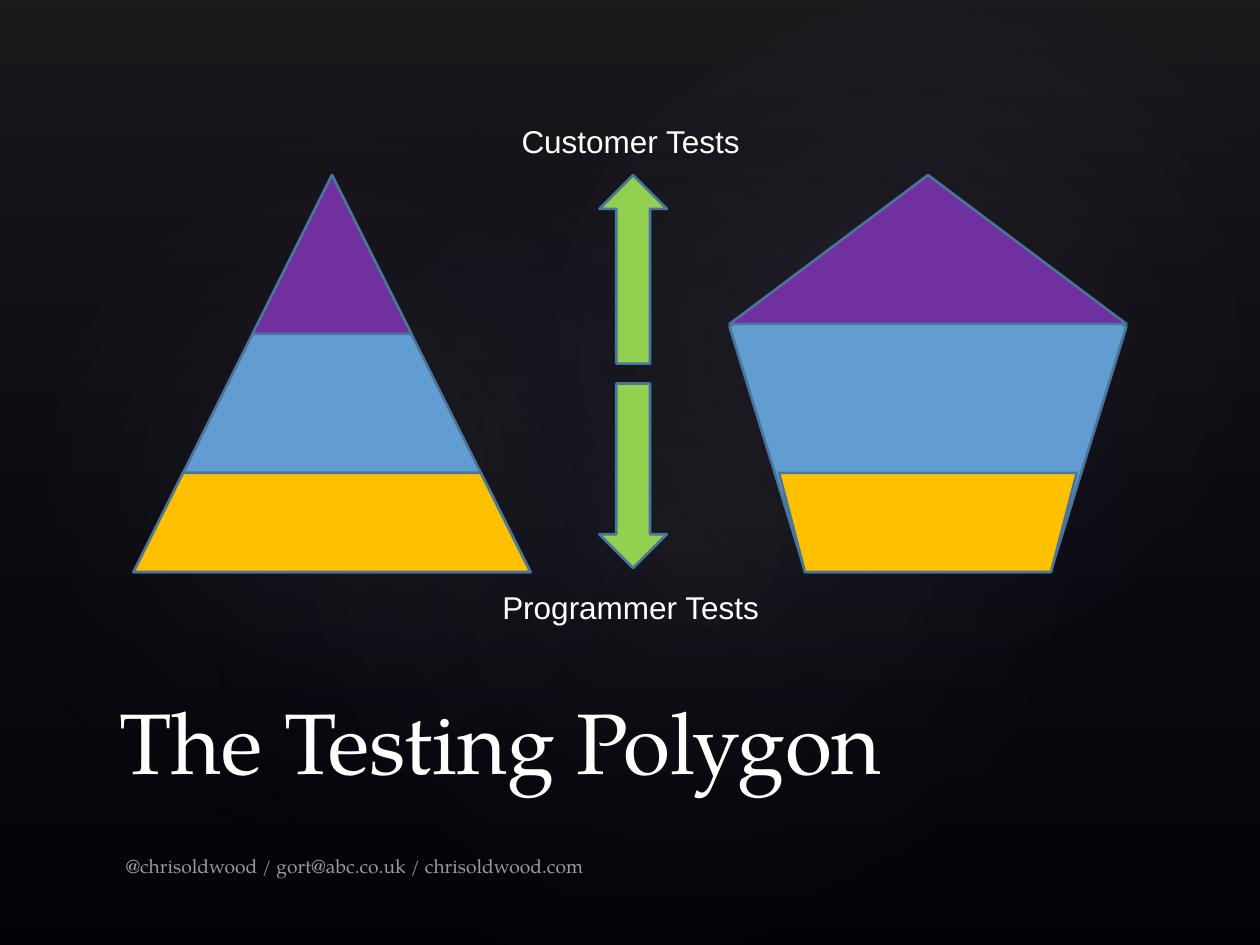
"""Build the slide that compares the testing pyramid with the testing pentagon."""
from pptx import Presentation, oxml
from pptx import util as u
from pptx.dml.color import RGBColor
from pptx.enum import shapes, text
from pptx.oxml import ns

WIDTH, HEIGHT = 10, 7.5
KIND = shapes.MSO_SHAPE
ALIGN = text.PP_ALIGN
ANCHOR = text.MSO_ANCHOR
COLORS = {
    "black": "000000", "white": "FFFFFF", "edge": "49749B",
    "blue": "629DD1", "purple": "7030A0", "yellow": "FFC000", "green": "92D050",
    "plum": "504652", "navy": "242852", "mist": "C4BCC6",
}
SERIF, SANS = "TeX Gyre Pagella", "Arial"

LINEAR = '<a:lin ang="5400000" scaled="0"/>'
RADIAL = '<a:path path="circle"><a:fillToRect l="50000" t="50000" r="50000" b="50000"/></a:path>'
SHADE = [(0, "plum", 36), (100, "navy", 10)]
GLOWS = [
    ((1.5, 1.14, 7.92, 6.24), 328.7, 7),
    ((-0.3, 1.28, 6.06, 4.9), 294.3, 8),
    ((3.58, 0.13, 7.09, 5.2), 328.7, 8),
]

SIDE, TOP = 3.15, 1.39
COLUMNS = {"pyramid": 1.06, "arrows": 3.45, "pentagon": 5.79}
PARTS = [
    ("pyramid", KIND.ISOSCELES_TRIANGLE, (0, 0, 1, 1), "blue", 0, None),
    ("pentagon", KIND.REGULAR_PENTAGON, (0, 0, 1, 1), "blue", 0, None),
    ("pyramid", KIND.ISOSCELES_TRIANGLE, (0.3, 0, 0.4, 0.4), "purple", 0, None),
    ("arrows", KIND.DOWN_ARROW, (0.415, 0.525, 0.17, 0.465), "green", 0, None),
    ("arrows", KIND.DOWN_ARROW, (0.415, 0, 0.17, 0.475), "green", 180, None),
    ("pentagon", KIND.ISOSCELES_TRIANGLE, (0, 0, 1, 0.375), "purple", 0, None),
    ("pyramid", KIND.TRAPEZOID, (0, 0.75, 1, 0.25), "yellow", 0, 0.5),
    ("pentagon", KIND.TRAPEZOID, (0.125, 0.75, 0.75, 0.25), "yellow", 180, 0.26),
]
TEXTS = [
    ("The Testing Polygon", (0.85, 5.33, 8.25, 1), 49, SERIF, ALIGN.LEFT, ANCHOR.BOTTOM, 100),
    ("@chrisoldwood / gort@abc.co.uk / chrisoldwood.com", (0.9, 6.73, 5, 0.4),
     11, SERIF, ALIGN.LEFT, ANCHOR.TOP, 60),
    ("Customer Tests", (3.43, 0.92, SIDE, 0.4), 18, SANS, ALIGN.CENTER, ANCHOR.TOP, 100),
    ("Programmer Tests", (3.43, 4.62, SIDE, 0.4), 18, SANS, ALIGN.CENTER, ANCHOR.TOP, 100),
]


def color(name):
    return RGBColor.from_string(COLORS[name])


def add_shape(page, kind, place, turn=0):
    shape = page.shapes.add_shape(kind, *map(u.Inches, place))
    shape.rotation = turn
    shape.shadow.inherit = False
    return shape


def add_shade(page, kind, place, stops, direction, turn=0):
    shape = add_shape(page, kind, place, turn)
    shape.fill.background()
    shape.line.fill.background()
    marks = "".join(
        f'<a:gs pos="{spot * 1000}"><a:srgbClr val="{COLORS[name]}">'
        f'<a:alpha val="{alpha * 1000}"/></a:srgbClr></a:gs>'
        for spot, name, alpha in stops)
    gradient = oxml.parse_xml(
        f'<a:gradFill {ns.nsdecls("a")} rotWithShape="1"><a:gsLst>{marks}</a:gsLst>{direction}</a:gradFill>')
    properties = shape.element.spPr
    properties.replace(properties.find(ns.qn("a:noFill")), gradient)


def add_part(page, column, kind, share, fill, turn, slant):
    left, top, width, height = (SIDE * part for part in share)
    shape = add_shape(page, kind, (COLUMNS[column] + left, TOP + top, width, height), turn)
    if slant is not None:
        shape.adjustments[0] = slant
    shape.fill.solid()
    shape.fill.fore_color.rgb = color(fill)
    shape.line.color.rgb = color("edge")
    shape.line.width = u.Pt(1.5)


def add_text(page, words, place, size, font, align, anchor, opacity):
    box = page.shapes.add_textbox(*map(u.Inches, place))
    box.text_frame.word_wrap = True
    box.text_frame.vertical_anchor = anchor
    para = box.text_frame.paragraphs[0]
    para.alignment = align
    span = para.add_run()
    span.text = words
    span.font.size = u.Pt(size)
    span.font.name = font
    span.font.color.rgb = color("white")
    if opacity < 100:
        tone = span.font.element if hasattr(span.font, "element") else para.runs[0]._r
        tone = tone.find(".//" + ns.qn("a:srgbClr"))
        tone.append(oxml.parse_xml(f'<a:alpha {ns.nsdecls("a")} val="{opacity * 1000}"/>'))


def main():
    deck = Presentation()
    deck.slide_width, deck.slide_height = u.Inches(WIDTH), u.Inches(HEIGHT)
    page = deck.slides.add_slide(deck.slide_layouts[6])
    page.background.fill.solid()
    page.background.fill.fore_color.rgb = color("black")
    add_shade(page, KIND.RECTANGLE, (0, 0, WIDTH, HEIGHT), SHADE, LINEAR)
    for place, turn, alpha in GLOWS:
        add_shade(page, KIND.OVAL, place, [(0, "mist", alpha), (58, "navy", 0)], RADIAL, turn)
    for part in PARTS:
        add_part(page, *part)
    for entry in TEXTS:
        add_text(page, *entry)
    deck.save("out.pptx")


if __name__ == "__main__":
    main()
